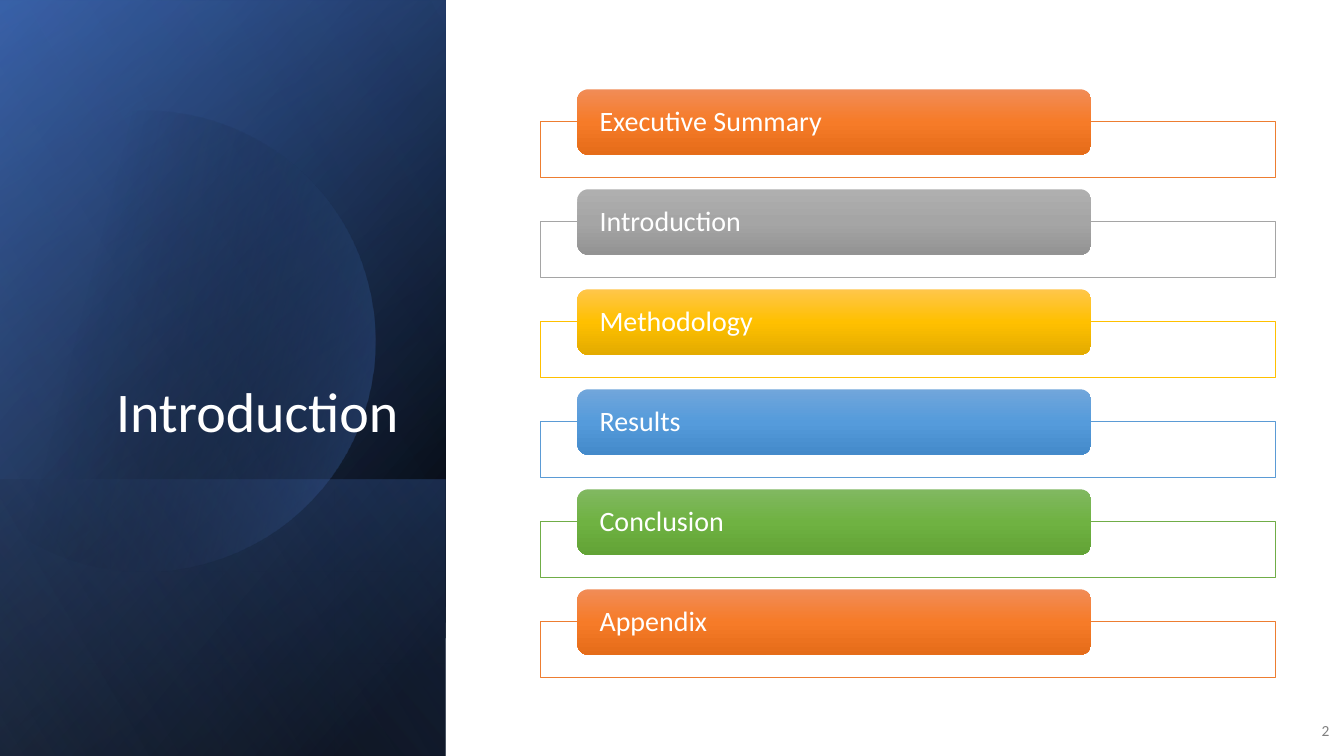
"""Build the agenda slide with a shaded side panel and six bars."""
from dataclasses import dataclass
from typing import Any

from lxml.etree import SubElement
from pptx import Presentation
from pptx.dml.color import RGBColor
from pptx.enum.shapes import MSO_SHAPE
from pptx.enum.text import MSO_ANCHOR, PP_ALIGN
from pptx.oxml.ns import qn
from pptx.util import Cm, Pt


@dataclass(frozen=True)
class Theme:
    """Colours and type sizes of the slide."""
    font: str = "Calibri"
    white: str = "FFFFFF"
    gray: str = "808080"
    black: str = "000000"
    navy: str = "2F5597"
    blue: str = "4472C4"
    pale: str = "8FAADC"
    title: int = 40
    label: int = 20
    small: int = 11


@dataclass(frozen=True)
class Stop:
    """One gradient stop with place and opacity in percent."""
    place: int
    color: str
    solid: int = 100


@dataclass(frozen=True)
class Box:
    """A frame in centimetres."""
    left: float
    top: float
    width: float
    height: float

    def args(self) -> list[int]:
        """Return the four lengths for a shape call."""
        return [Cm(n) for n in (self.left, self.top, self.width, self.height)]


@dataclass(frozen=True)
class Panel:
    """A turned and mirrored layer of the side panel."""
    box: Box
    angle: int
    stops: tuple[Stop, ...]


@dataclass(frozen=True)
class Tone:
    """Line colour and gradient colours of a bar."""
    line: str
    light: str
    mid: str
    dark: str


@dataclass(frozen=True)
class Item:
    """One agenda entry."""
    text: str
    tone: Tone


THEME = Theme()
SIDE = Box(-3.91, 3.92, 19.05, 11.23)
FOOT = Box(2.13, 9.95, 6.97, 11.23)
BACK = (
    Panel(SIDE, 50, (Stop(8, THEME.black), Stop(100, THEME.navy))),
    Panel(SIDE, 30, (Stop(0, THEME.black, 0), Stop(99, THEME.blue, 46))),
    Panel(FOOT, 130, (Stop(2, THEME.blue, 29), Stop(100, THEME.black, 30))),
)
GLOW = Panel(SIDE, 120, (Stop(0, THEME.black, 0), Stop(99, THEME.pale, 11)))
DISC = (Stop(29, THEME.black, 0), Stop(100, THEME.blue, 43))
START = (3.78, 2.79)
CURVES = (
    ((6.25, 2.84), (8.51, 4.5), (9.22, 6.99)),
    ((10.11, 10.08), (8.33, 13.28), (5.26, 14.17)),
    ((3.33, 14.73), (1.35, 14.25), (-0.08, 13.06)),
    ((-0.38, 12.78), (-0.38, 4.45), (-0.38, 4.45)),
    ((0, 4.09), (1.27, 3.3), (2.03, 3.02)),
    ((2.62, 2.87), (3.2, 2.79), START),
)
FLAT = 3
STEPS = 24
ORANGE = Tone("ED7D31", "F18C57", "F67B28", "E56C19")
ITEMS = (
    Item("Executive Summary", ORANGE),
    Item("Introduction", Tone("A5A5A5", "AFAFAF", "A5A5A5", "939393")),
    Item("Methodology", Tone("FFC000", "FFC64B", "FFC000", "E3AB00")),
    Item("Results", Tone("5B9BD5", "71A6DB", "559BDB", "448ACA")),
    Item("Conclusion", Tone("70AD47", "81B861", "6FB242", "62A336")),
    Item("Appendix", ORANGE),
)
PITCH = 2.52


def shade(shape: Any, stops: tuple[Stop, ...], angle: int) -> None:
    """Give a shape a linear gradient and no line or shadow."""
    shape.shadow.inherit = False
    shape.line.fill.background()
    shape.fill.background()
    props = shape.element.spPr
    blank = props.find(qn("a:noFill"))
    grad = props.makeelement(qn("a:gradFill"), {"rotWithShape": "1"})
    props.replace(blank, grad)
    group = SubElement(grad, qn("a:gsLst"))
    for stop in stops:
        mark = SubElement(group, qn("a:gs"), pos=str(stop.place * 1000))
        color = SubElement(mark, qn("a:srgbClr"), val=stop.color)
        if stop.solid < 100:
            SubElement(color, qn("a:alpha"), val=str(stop.solid * 1000))
    SubElement(grad, qn("a:lin"), ang=str(angle * 60000), scaled="0")


def write(shape: Any, text: str, size: int, color: str,
          align: PP_ALIGN, anchor: MSO_ANCHOR) -> None:
    """Set and format the single line of a shape."""
    frame = shape.text_frame
    frame.word_wrap = True
    frame.vertical_anchor = anchor
    frame.text = text
    para = frame.paragraphs[0]
    para.alignment = align
    para.line_spacing = 0.9
    font = para.runs[0].font
    font.name = THEME.font
    font.size = Pt(size)
    font.color.rgb = RGBColor.from_string(color)


def draw_panel(shapes: Any, panel: Panel) -> None:
    """Draw one layer of the side panel."""
    shape = shapes.add_shape(MSO_SHAPE.RECTANGLE, *panel.box.args())
    shape.rotation = 90
    shape.element.spPr.xfrm.set("flipH", "1")
    shade(shape, panel.stops, panel.angle)


def draw_disc(shapes: Any) -> None:
    """Draw the cut circle from its curves."""
    points = []
    last = START
    for index, (one, two, end) in enumerate(CURVES):
        if index == FLAT:
            points += [one, two]
        else:
            for step in range(1, STEPS + 1):
                t = step / STEPS
                u = 1 - t
                points.append(tuple(
                    u**3 * a + 3 * u * u * t * b + 3 * u * t * t * c + t**3 * d
                    for a, b, c, d in zip(last, one, two, end)))
        last = end
    pen = shapes.build_freeform(Cm(START[0]), Cm(START[1]))
    pen.add_line_segments([(Cm(x), Cm(y)) for x, y in points])
    shade(pen.convert_to_shape(), DISC, 14)


def draw_item(shapes: Any, item: Item, row: int) -> None:
    """Draw the outline and the bar of one entry."""
    shift = row * PITCH
    tone = item.tone
    frame = shapes.add_shape(
        MSO_SHAPE.RECTANGLE, *Box(13.61, 3.07 + shift, 18.52, 1.4).args())
    frame.shadow.inherit = False
    frame.fill.solid()
    frame.fill.fore_color.rgb = RGBColor.from_string(THEME.white)
    frame.line.color.rgb = RGBColor.from_string(tone.line)
    frame.line.width = Pt(0.5)
    bar = shapes.add_shape(
        MSO_SHAPE.ROUNDED_RECTANGLE, *Box(14.55, 2.25 + shift, 12.95, 1.65).args())
    shade(bar, (Stop(0, tone.light), Stop(50, tone.mid), Stop(100, tone.dark)), 90)
    text = bar.text_frame
    text.margin_left = text.margin_right = Cm(0.48)
    text.margin_top = text.margin_bottom = 0
    write(bar, item.text, THEME.label, THEME.white, PP_ALIGN.LEFT, MSO_ANCHOR.MIDDLE)


def main() -> None:
    """Build and save the slide."""
    deck = Presentation()
    deck.slide_width, deck.slide_height = Cm(33.87), Cm(19.05)
    shapes = deck.slides.add_slide(deck.slide_layouts[6]).shapes
    for panel in BACK:
        draw_panel(shapes, panel)
    draw_disc(shapes)
    draw_panel(shapes, GLOW)
    title = shapes.add_textbox(*Box(1.63, 4.67, 8.66, 6.65).args())
    write(title, "Introduction", THEME.title, THEME.white, PP_ALIGN.RIGHT, MSO_ANCHOR.BOTTOM)
    number = shapes.add_textbox(*Box(32.51, 17.93, 1.24, 1.02).args())
    write(number, "2", THEME.small, THEME.gray, PP_ALIGN.RIGHT, MSO_ANCHOR.MIDDLE)
    for row, item in enumerate(ITEMS):
        draw_item(shapes, item, row)
    deck.save("out.pptx")


if __name__ == "__main__":
    main()
